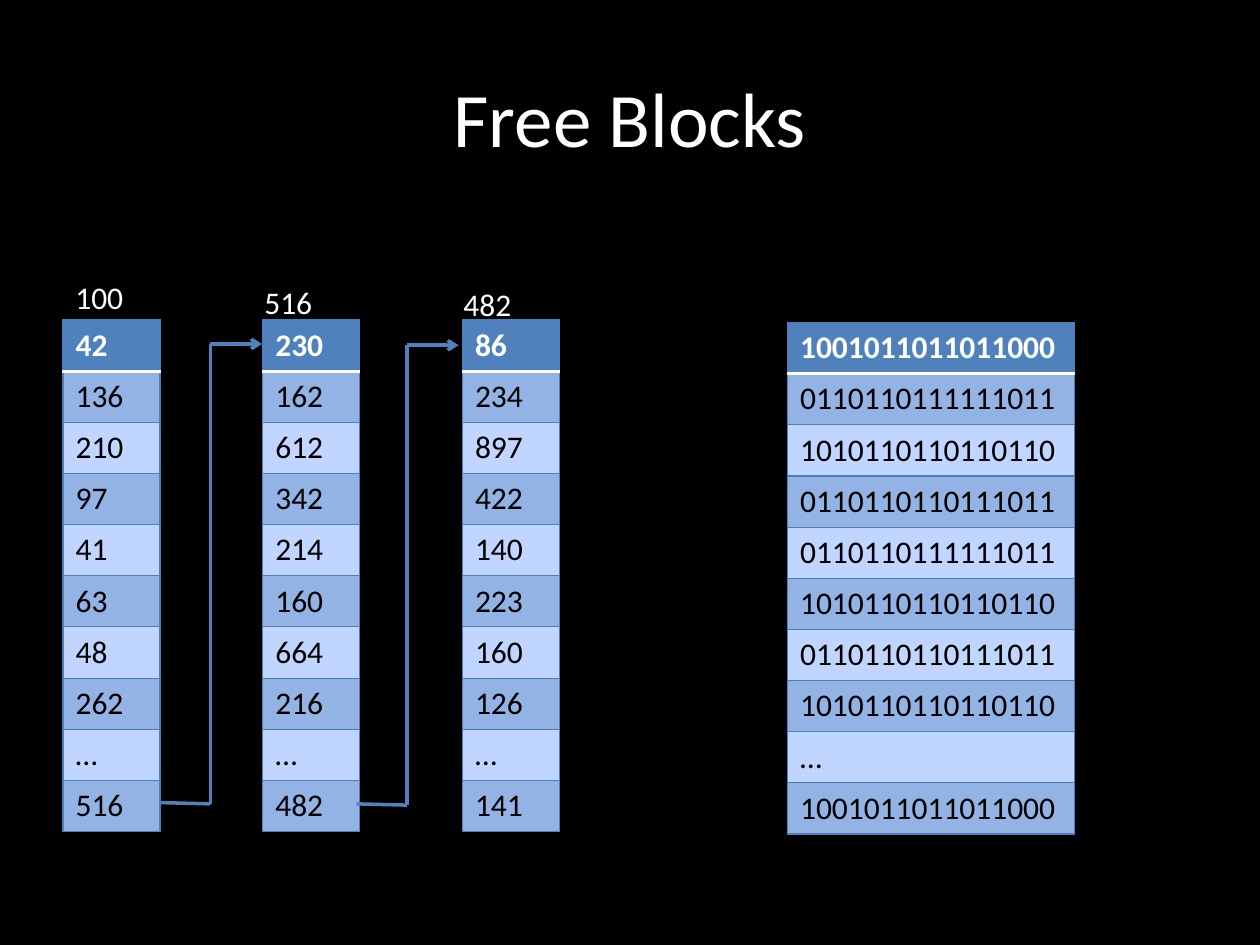
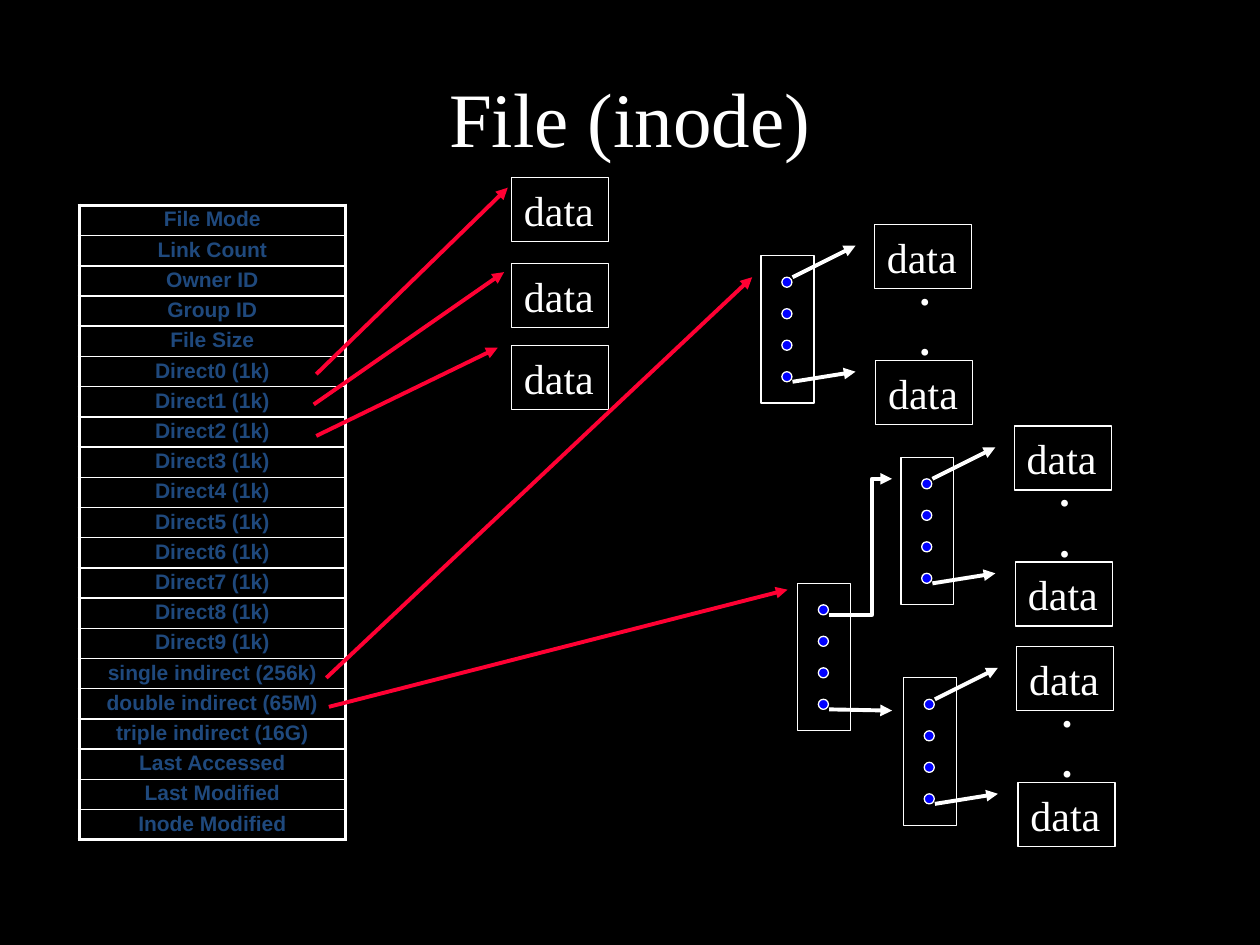
import itertools

import pptx
import pptx.dml.color
import pptx.enum.shapes
import pptx.enum.text
import pptx.oxml
import pptx.oxml.ns
import pptx.util

# Shared look
BLACK, WHITE = "000000", "FFFFFF"
BLUE, BORDER_BLUE = "4F81BD", "4B7EBC"
BAND_DARK, BAND_LIGHT = "93B3E5", "C0D5FF"
NAVY, RED, DOT_BLUE = "1F497D", "FF0033", "0000FF"
SANS, SERIF, LABEL = "Calibri", "Times New Roman", "Arial"
MIDDLE = pptx.enum.text.MSO_ANCHOR.MIDDLE
CENTER = pptx.enum.text.PP_ALIGN.CENTER
SHAPES = pptx.enum.shapes.MSO_SHAPE

# The slide is a grid of 100 columns by 75 rows of square cells
SLIDE_WIDTH = pptx.util.Inches(10)
SLIDE_HEIGHT = pptx.util.Inches(7.5)
CELL = SLIDE_WIDTH / 100


def grid(*counts):
    return [pptx.util.Emu(round(count * CELL)) for count in counts]


def color(hex_string):
    return pptx.dml.color.RGBColor.from_string(hex_string)


def write_text(text_frame, text, size=18, font=SANS, ink=WHITE, bold=False,
               align=None, anchor=None, wrap=None):
    if anchor is not None:
        text_frame.vertical_anchor = anchor
    if wrap is not None:
        text_frame.word_wrap = wrap
    text_frame.text = text
    for paragraph in text_frame.paragraphs:
        paragraph.alignment = align
        for run in paragraph.runs:
            run.font.size = pptx.util.Pt(size)
            run.font.name = font
            run.font.bold = bold
            run.font.color.rgb = color(ink)


def add_text(slide, area, text, **text_format):
    box = slide.shapes.add_textbox(*grid(*area))
    write_text(box.text_frame, text, **text_format)


def add_slide(presentation, title, font):
    slide = presentation.slides.add_slide(presentation.slide_layouts[5])
    slide.background.fill.solid()
    slide.background.fill.fore_color.rgb = color(BLACK)
    placeholder = slide.shapes.title
    placeholder.left, placeholder.top, placeholder.width, placeholder.height = grid(5, 3, 90, 12.5)
    write_text(placeholder.text_frame, title, size=44, font=font,
               align=CENTER, anchor=MIDDLE)
    return slide


# Lines and shapes
def style_line(shape, ink, width, head=None):
    shape.line.color.rgb = color(ink)
    shape.line.width = pptx.util.Pt(width)
    if head:
        tail_end = pptx.oxml.parse_xml(
            f'<a:tailEnd {pptx.oxml.ns.nsdecls("a")} type="{head}"/>')
        shape.line._get_or_add_ln().append(tail_end)


def add_line(slide, start, end, ink, width=2.25, head="triangle"):
    connector = slide.shapes.add_connector(
        pptx.enum.shapes.MSO_CONNECTOR.STRAIGHT, *grid(*start, *end))
    style_line(connector, ink, width, head)
    connector._element.spPr.append(
        pptx.oxml.parse_xml(f'<a:effectLst {pptx.oxml.ns.nsdecls("a")}/>'))


def add_outlined(slide, kind, area, fill=None):
    shape = slide.shapes.add_shape(kind, *grid(*area))
    shape.shadow.inherit = False
    if fill:
        shape.fill.solid()
        shape.fill.fore_color.rgb = color(fill)
    else:
        shape.fill.background()
    style_line(shape, WHITE, 0.75)
    return shape


# Tables
def set_borders(cell, **sides):
    properties = cell._tc.get_or_add_tcPr()
    for side in "LRTB":
        ink, width = sides[side]
        properties.append(pptx.oxml.parse_xml(
            f'<a:ln{side} {pptx.oxml.ns.nsdecls("a")} w="{pptx.util.Pt(width)}">'
            f'<a:solidFill><a:srgbClr val="{ink}"/></a:solidFill></a:ln{side}>'))


def add_column_table(slide, left, top, width, row_height, texts):
    frame = slide.shapes.add_table(
        len(texts), 1, *grid(left, top, width, row_height * len(texts)))
    table = frame.table
    table.first_row = table.horz_banding = False
    for row in table.rows:
        row.height, = grid(row_height)
    return [row.cells[0] for row in table.rows]


def add_block_table(slide, left, top, width, texts):
    edge, rule = (BORDER_BLUE, 0.75), (WHITE, 2)
    cells = add_column_table(slide, left, top, width, 4.06, texts)
    for index, (cell, text) in enumerate(zip(cells, texts)):
        header = index == 0
        set_borders(cell, L=edge, R=edge, T=rule if index == 1 else edge,
                    B=rule if header else edge)
        cell.fill.solid()
        band = BAND_DARK if index % 2 else BAND_LIGHT
        cell.fill.fore_color.rgb = color(BLUE if header else band)
        write_text(cell.text_frame, text, bold=header,
                   ink=WHITE if header else BLACK)


def add_inode_table(slide, left, top, width, texts):
    thick, thin = (WHITE, 2.25), (WHITE, 1)
    cells = add_column_table(slide, left, top, width, 2.4, texts)
    for index, (cell, text) in enumerate(zip(cells, texts)):
        set_borders(cell, L=thick, R=thick, T=thin if index else thick,
                    B=thick if index == len(texts) - 1 else thin)
        cell.fill.background()
        cell.margin_top = cell.margin_bottom = grid(0.2)[0]
        write_text(cell.text_frame, text, size=12, font=LABEL, ink=NAVY,
                   bold=True, align=CENTER)


# Free list: link from the last entry of one block to the next block
def add_block_link(slide, left, bottom):
    middle, top = left + 4, bottom - 36.4
    points = [(left, bottom), (middle, bottom + 0.1), (middle, top), (left + 8.1, top)]
    for (start, end), head in zip(itertools.pairwise(points), (None, None, "arrow")):
        add_line(slide, start, end, BLUE, width=2, head=head)


# Inode: data blocks and index blocks
def add_data_block(slide, left, top):
    block = add_outlined(slide, SHAPES.RECTANGLE, (left, top, 7.7, 5.1))
    write_text(block.text_frame, "data", size=24, font=SERIF,
               align=pptx.enum.text.PP_ALIGN.LEFT, anchor=MIDDLE, wrap=False)


def add_index_block(slide, left, top):
    add_outlined(slide, SHAPES.RECTANGLE, (left, top, 4.2, 11.7))
    for entry in range(4):
        add_outlined(slide, SHAPES.OVAL,
                     (left + 1.65, top + 1.7 + 2.5 * entry, 0.8, 0.8), DOT_BLUE)


def add_indirect_group(slide, left, top):
    add_index_block(slide, left, top)
    add_data_block(slide, left + 9, top - 2.5)
    add_data_block(slide, left + 9.1, top + 8.3)
    for start, end in ((1.7, -0.8), (10, 9.2)):
        add_line(slide, (left + 2.5, top + start), (left + 7.5, top + end), WHITE)
    add_text(slide, (left + 11.6, top + 0.1, 2.8, 9), ".\n.", size=24, font=SERIF,
             bold=True, anchor=MIDDLE, wrap=False)


def add_elbow_arrow(slide, points):
    start, *others = [grid(*point) for point in points]
    builder = slide.shapes.build_freeform(*start)
    builder.add_line_segments(others, close=False)
    arrow = builder.convert_to_shape()
    arrow.shadow.inherit = False
    arrow.fill.background()
    style_line(arrow, WHITE, 2.25, "triangle")


def build_free_blocks(presentation):
    slide = add_slide(presentation, "Free Blocks", SANS)
    free_lists = [
        "42 136 210 97 41 63 48 262 … 516",
        "230 162 612 342 214 160 664 216 … 482",
        "86 234 897 422 140 223 160 126 … 141",
    ]
    for index, entries in enumerate(free_lists):
        add_block_table(slide, 5 + 15.85 * index, 25.4, 7.7, entries.split())

    # Bitmap
    first, second, third, fourth = ("1001011011011000", "0110110111111011",
                                    "1010110110110110", "0110110110111011")
    add_block_table(slide, 62.5, 25.6, 22.8,
                    [first, second, third, fourth, second, third, fourth, third, "…", first])

    add_block_link(slide, 12.7, 63.7)
    add_block_link(slide, 28.3, 63.8)
    for left, top, number in ((5, 21.6, "100"), (20, 22, "516"), (35.8, 22.1, "482")):
        add_text(slide, (left, top, 9.6, 4), number, wrap=True)


def build_inode(presentation):
    slide = add_slide(presentation, "File (inode)", SERIF)
    fields = ["File Mode", "Link Count", "Owner ID", "Group ID", "File Size",
              *(f"Direct{number} (1k)" for number in range(10)),
              "single indirect (256k)", "double indirect (65M)", "triple indirect (16G)",
              "Last Accessed", "Last Modified", "Inode Modified"]
    add_inode_table(slide, 6.3, 16.3, 21.1, fields)

    # Direct blocks
    for top in (14.1, 20.9, 27.4):
        add_data_block(slide, 40.6, top)

    # Single indirect, then the two second-level blocks of double indirect
    for left, top in ((60.4, 20.3), (71.5, 36.3), (71.7, 53.8)):
        add_indirect_group(slide, left, top)
    add_index_block(slide, 63.3, 46.3)
    add_elbow_arrow(slide, [(65.8, 48.8), (69.2, 48.8), (69.2, 38), (70.8, 38)])
    add_line(slide, (65.8, 56.3), (70.8, 56.4), WHITE)

    # Pointers from the inode
    pointers = [((25.1, 29.7), (40.3, 14.9)), ((24.9, 32.1), (40, 21.6)),
                ((25.1, 34.6), (39.5, 27.6)), ((25.9, 53.8), (59.7, 22)),
                ((26.1, 56.1), (62.5, 46.8))]
    for start, end in pointers:
        add_line(slide, start, end, RED)


def main():
    presentation = pptx.Presentation()
    presentation.slide_width = SLIDE_WIDTH
    presentation.slide_height = SLIDE_HEIGHT
    build_free_blocks(presentation)
    build_inode(presentation)
    presentation.save("out.pptx")


if __name__ == "__main__":
    main()
